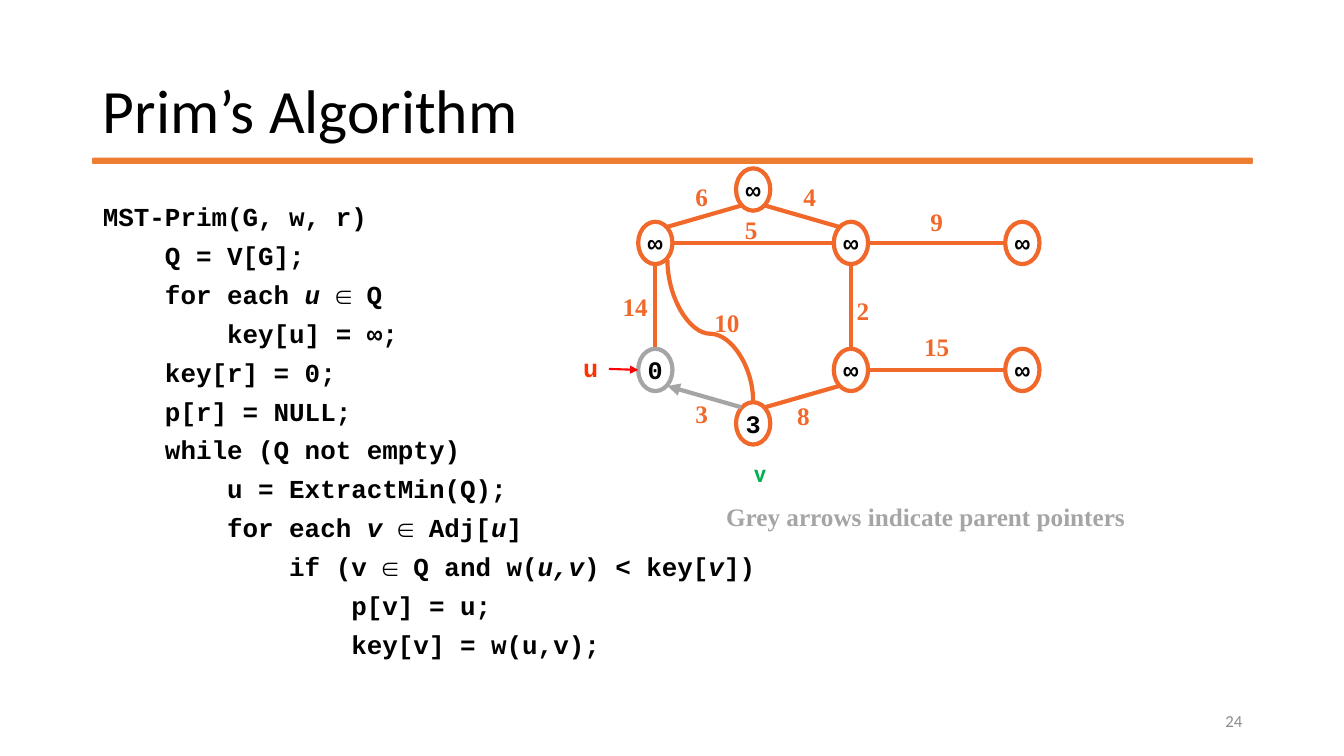
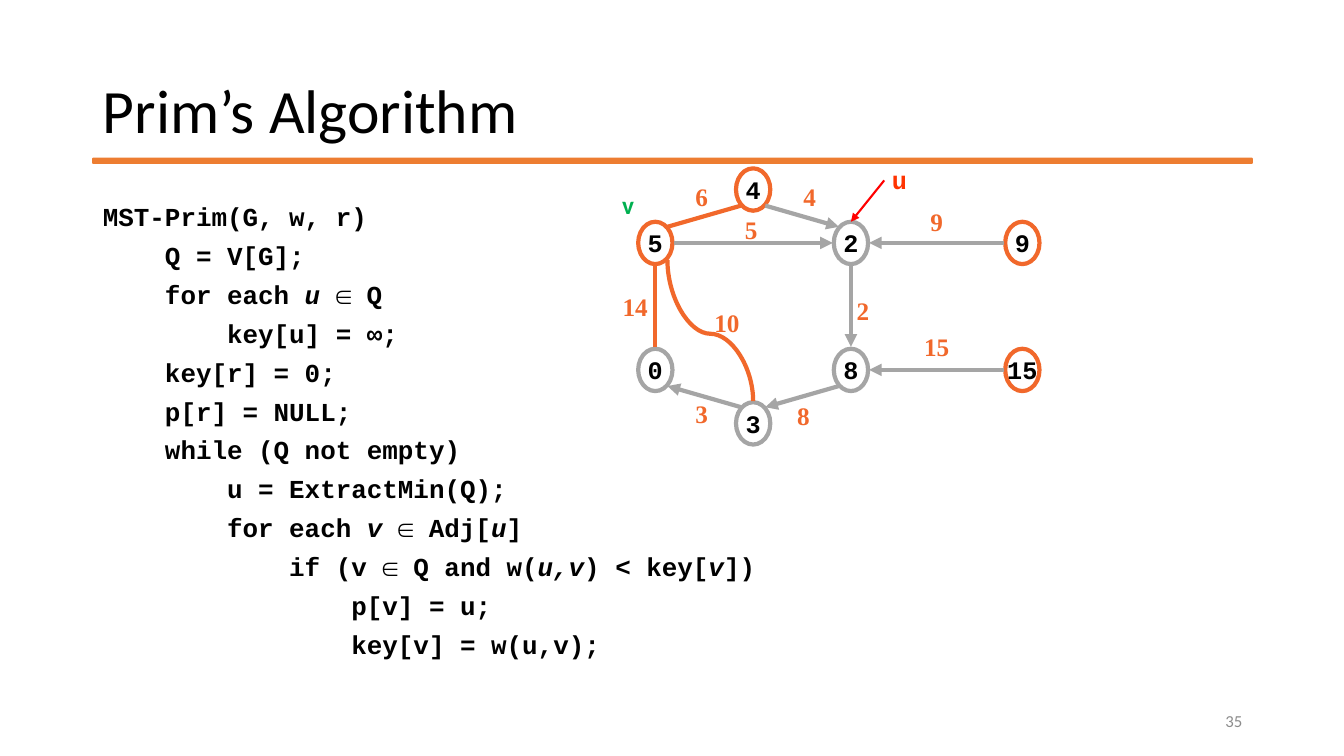
from dataclasses import dataclass, field

from lxml.etree import SubElement
from pptx import Presentation
from pptx.dml.color import RGBColor
from pptx.enum.shapes import MSO_CONNECTOR, MSO_SHAPE
from pptx.enum.text import MSO_ANCHOR, MSO_AUTO_SIZE, PP_ALIGN
from pptx.oxml.ns import qn
from pptx.util import Inches, Pt

COLORS = {
    "rule": "ED7D31", "edge": "F1682B", "grey": "A5A5A5", "black": "000000",
    "current": "FF3300", "pointer": "FF0000", "neighbour": "00B050", "number": "8C8C8C",
}
SANS, MONO, SERIF = "Calibri", "Courier New", "Times New Roman"

# Page frame, in inches
LEFT, WIDTH = 0.92, 11.5
TITLE_BOX = (LEFT, 0.4, WIDTH, 1.45)
RULE_BOX = (LEFT, 1.57, WIDTH, 0.05)
CODE_BOX = (LEFT, 2, WIDTH, 4.76)
NUMBER_BOX = (LEFT + WIDTH - 3, 6.95, 3, 0.4)

# Graph grid: node centres sit on these columns and rows
COLUMNS = (6.5, 7.47, 8.44, 10.14)
ROWS = (1.88, 2.41, 3.67, 4.2)
NODE_WIDTH, NODE_HEIGHT = 0.34, 0.42
NODES = {
    "a": (0, 1), "b": (1, 0), "c": (2, 1), "d": (3, 1),
    "e": (0, 2), "f": (2, 2), "g": (3, 2), "h": (1, 3),
}
EDGES = ("bc", "ba", "ac", "ea", "eh", "hf", "fc", "cd", "fg")
WEIGHTS = (
    ("14", 6.3, 3.04), ("10", 7.21, 3.2), ("3", 6.96, 4.1), ("6", 6.96, 1.95),
    ("4", 8.03, 1.95), ("5", 7.45, 2.28), ("2", 8.56, 3.08), ("9", 9.29, 2.2),
    ("15", 9.29, 3.44), ("8", 7.97, 4.12),
)

# Asterisks enclose italic parts
CODE = """MST-Prim(G, w, r)
    Q = V[G];
    for each *u *∈ Q
        key[u] = ∞;
    key[r] = 0;
    p[r] = NULL;
    while (Q not empty)
        u = ExtractMin(Q);
        for each *v *∈ Adj[*u*]
            if (v ∈ Q and w(*u,v*) < key[*v*])
                p[v] = u;
                key[v] = w(u,v);""".split("\n")


@dataclass
class Step:
    number: str
    keys: dict
    visited: str
    parents: tuple  # child and parent of each grey arrow
    u_label: tuple
    u_arrow: tuple
    v_label: tuple
    captions: list = field(default_factory=list)


STEPS = (
    Step("24", dict(zip("abcdefgh", "∞∞∞∞0∞∞3")), "e", ("he",),
         (5.86, 3.65), ((6.04, 3.66), (6.33, 3.67)), (7.54, 4.69),
         [("Grey arrows indicate parent pointers", 9.18, 5.12)]),
    Step("35", dict(zip("abcdefgh", ("5", "4", "2", "9", "0", "8", "15", "3"))), "cefh",
         ("bc", "ac", "he", "fh", "cf", "dc", "gf"),
         (8.92, 1.78), ((8.77, 1.79), (8.44, 2.2)), (6.23, 2.03)),
)


def color(name):
    return RGBColor.from_string(COLORS[name])


def inches(values):
    return [Inches(value) for value in values]


def place(shape, box):
    shape.left, shape.top, shape.width, shape.height = inches(box)


def format_font(font, name, size, color_name, bold=False):
    font.name, font.size, font.bold = name, Pt(size), bold
    font.color.rgb = color(color_name)


def write(shape, text, font_name, size, color_name, bold=True, align=PP_ALIGN.CENTER):
    frame = shape.text_frame
    frame.text = text
    frame.word_wrap = False
    frame.vertical_anchor = MSO_ANCHOR.MIDDLE
    paragraph = frame.paragraphs[0]
    paragraph.alignment = align
    format_font(paragraph.runs[0].font, font_name, size, color_name, bold)


def add_label(slide, text, x, y, font_name, color_name):
    """Text centred on a point, in a box with room to spare on one line."""
    width, height = 0.3 + 0.13 * len(text), 0.4
    box = slide.shapes.add_textbox(*inches((x - width / 2, y - height / 2, width, height)))
    write(box, text, font_name, 18, color_name)


def add_line(slide, start, end, color_name, width=3, arrow=False, kind=MSO_CONNECTOR.STRAIGHT):
    connector = slide.shapes.add_connector(kind, *inches((*start, *end)))
    connector.line.color.rgb = color(color_name)
    connector.line.width = Pt(width)
    if arrow:
        SubElement(connector.line._get_or_add_ln(), qn("a:tailEnd"), type="triangle")
    SubElement(connector.element.spPr, qn("a:effectLst"))
    return connector


def center(node):
    column, row = NODES[node]
    return COLUMNS[column], ROWS[row]


def edge_end(node, other):
    """Point beside a node where the edge to the other node stops."""
    (x, y), (other_x, other_y) = center(node), center(other)
    if y == other_y:
        gap_x, gap_y = 0.18, 0
    elif x == other_x:
        gap_x, gap_y = 0, 0.23
    else:
        gap_x, gap_y = 0.12, 0.16
    return (x + (gap_x if other_x > x else -gap_x),
            y + (gap_y if other_y > y else -gap_y))


def add_node(slide, node, key, color_name):
    x, y = center(node)
    shape = slide.shapes.add_shape(MSO_SHAPE.OVAL, *inches(
        (x - NODE_WIDTH / 2, y - NODE_HEIGHT / 2, NODE_WIDTH, NODE_HEIGHT)))
    shape.shadow.inherit = False
    shape.fill.background()
    shape.line.color.rgb = color(color_name)
    shape.line.width = Pt(3)
    write(shape, key, MONO, 18, "black")


def add_curve(slide):
    """S-shaped edge from node h up to node a, drawn sideways and turned."""
    (x1, y1), (x2, y2) = (7.47, 3.98), (6.62, 2.58)
    middle_x, middle_y = (x1 + x2) / 2, (y1 + y2) / 2
    half_length, half_depth = (y1 - y2) / 2, (x1 - x2) / 2
    curve = add_line(slide, (middle_x + half_length, middle_y - half_depth),
                     (middle_x - half_length, middle_y + half_depth),
                     "edge", kind=MSO_CONNECTOR.CURVE)
    properties = curve.element.spPr
    properties.find(qn("a:xfrm")).set("rot", str(90 * 60000))
    guides = properties.find(qn("a:prstGeom")).find(qn("a:avLst"))
    SubElement(guides, qn("a:gd"), name="adj1", fmla="val 47800")


def add_graph(slide, step):
    for node, key in step.keys.items():
        add_node(slide, node, key, "grey" if node in step.visited else "edge")
    for start, end in EDGES:
        if end + start in step.parents:
            start, end = end, start
        chosen = start + end in step.parents
        add_line(slide, edge_end(start, end), edge_end(end, start),
                 "grey" if chosen else "edge", arrow=chosen)
    add_curve(slide)
    for weight, x, y in WEIGHTS:
        add_label(slide, weight, x, y, SERIF, "edge")


def fill_code(placeholder):
    frame = placeholder.text_frame
    frame.text = "\n".join(line.replace("*", "") for line in CODE)
    frame.auto_size = MSO_AUTO_SIZE.NONE
    for index, (paragraph, line) in enumerate(zip(frame.paragraphs, CODE)):
        properties = paragraph._p.get_or_add_pPr()
        properties.set("marL", "0")
        properties.set("indent", "0")
        SubElement(properties, qn("a:buNone"))
        paragraph.line_spacing = 0.8
        paragraph.space_before = Pt(10 if index else 0)
        paragraph.text = ""
        for part_index, part in enumerate(line.split("*")):
            if part:
                run = paragraph.add_run()
                run.text = part
                format_font(run.font, MONO, 18.5, "black", True)
                run.font.italic = part_index % 2 == 1


def add_frame(slide, number):
    """Title, rule and slide number shared by all slides."""
    rule = slide.shapes.add_shape(MSO_SHAPE.ROUNDED_RECTANGLE, *inches(RULE_BOX))
    rule.shadow.inherit = False
    rule.fill.solid()
    rule.fill.fore_color.rgb = rule.line.color.rgb = color("rule")
    rule.line.width = Pt(1)

    title = slide.shapes.title
    write(title, "Prim’s Algorithm", SANS, 44, "black", False, PP_ALIGN.LEFT)
    title.text_frame.word_wrap = True
    title.text_frame.paragraphs[0].line_spacing = 0.9

    box = slide.shapes.add_textbox(*inches(NUMBER_BOX))
    write(box, number, SANS, 12, "number", False, PP_ALIGN.RIGHT)
    box.text_frame.word_wrap = True


def add_step(presentation, layout, step):
    slide = presentation.slides.add_slide(layout)
    add_frame(slide, step.number)
    fill_code(slide.placeholders[1])
    add_graph(slide, step)
    # Markers for the current node u and its neighbour v
    add_label(slide, "u", *step.u_label, MONO, "current")
    add_line(slide, *step.u_arrow, "pointer", 1.5, arrow=True)
    add_label(slide, "v", *step.v_label, SANS, "neighbour")
    for text, x, y in step.captions:
        add_label(slide, text, x, y, SERIF, "grey")


def main():
    presentation = Presentation()
    presentation.slide_width, presentation.slide_height = Inches(13.33), Inches(7.5)
    layout = presentation.slide_layouts[1]
    place(layout.placeholders[0], TITLE_BOX)
    place(layout.placeholders[1], CODE_BOX)
    for step in STEPS:
        add_step(presentation, layout, step)
    presentation.save("out.pptx")


if __name__ == "__main__":
    main()
